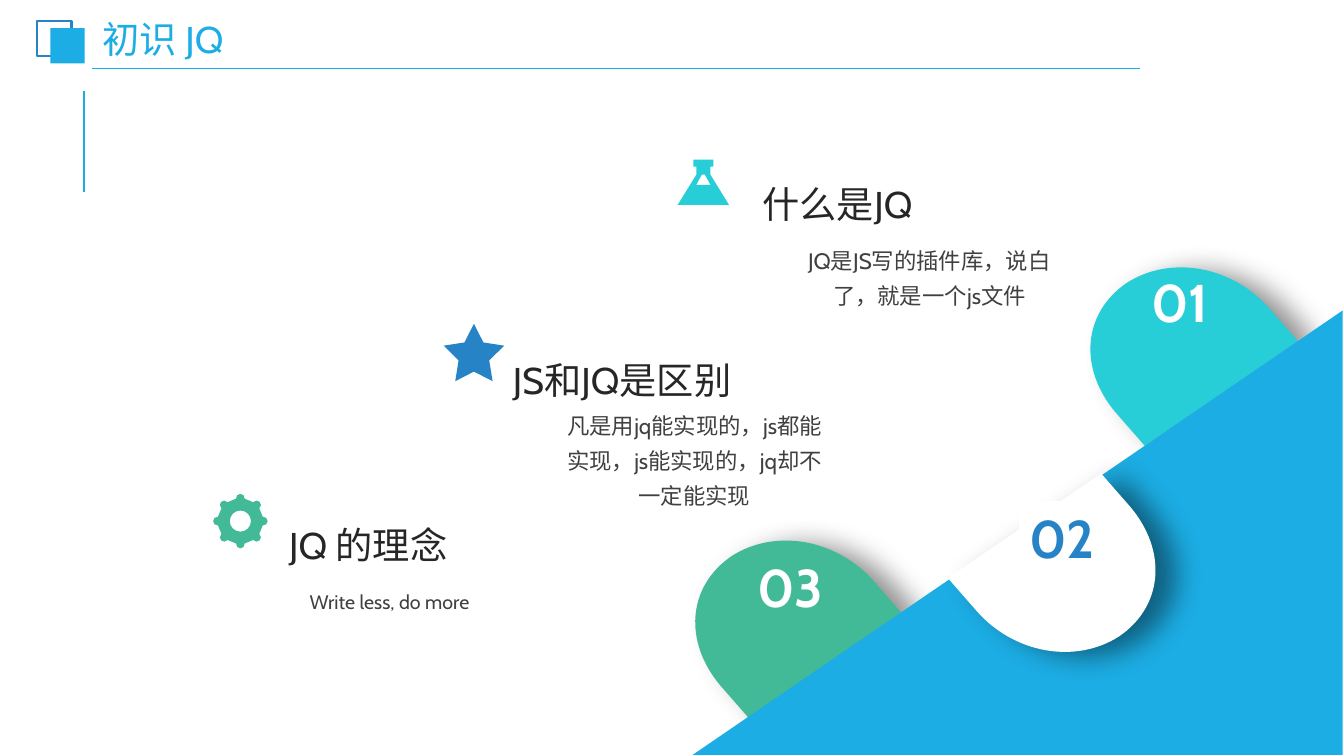
"""Build the slide 初识 JQ: three topics rising along a blue slope with numbered tabs."""
from dataclasses import dataclass
from math import cos, pi, sin

from lxml.etree import SubElement
from pptx import Presentation
from pptx.dml.color import RGBColor
from pptx.enum.shapes import MSO_CONNECTOR as CONN, MSO_SHAPE as SHAPE
from pptx.enum.text import MSO_ANCHOR as ANCHOR, MSO_AUTO_SIZE as FIT, PP_ALIGN as ALIGN
from pptx.oxml.ns import qn
from pptx.util import Inches, Pt

COLS, ROWS = 133.33, 75
CELL = Inches(0.1)
FONT = "Cabin"
COLORS = {"sky": "1CADE4", "blue": "2683C6", "teal": "27CED7", "green": "42BA97",
          "white": "FFFFFF", "head": "262626", "note": "404040", "black": "000000"}
Point = tuple[float, float]
Box = tuple[float, float, float, float]
Contour = list[list[Point]]


@dataclass
class Topic:
    head: str
    head_box: Box
    note: str
    note_box: Box
    note_size: float = 16


@dataclass
class Tab:
    number: str
    center: Point
    number_at: Point
    fill: str
    ink: str = "white"
    rotation: float = 187.6


TOPICS = [
    Topic("什么是JQ", (74.65, 16.6, 32.9, 6),
          "JQ是JS写的插件库，说白了，就是一个js文件", (78.6, 23.25, 27.2, 7.6)),
    Topic("JS和JQ是区别", (49.9, 34.1, 34, 6),
          "凡是用jq能实现的，js都能实现，js能实现的，jq却不一定能实现", (55.15, 39.65, 27.5, 11.1)),
    Topic("JQ 的理念", (27.7, 50.45, 35.5, 6),
          "Write less, do more", (24, 57.4, 29.3, 3.7), 14),
]
TAB_01 = Tab("01", (117.7, 35.15), (113.25, 26.25), "teal")
TAB_02 = Tab("02", (105.1, 56.05), (101.1, 49.7), "white", "blue", 7.6)
TAB_03 = Tab("03", (78.5, 62.25), (74.15, 54.55), "green")


def cells(*values: float) -> list[int]:
    return [round(v * CELL) for v in values]


def color(name: str) -> RGBColor:
    return RGBColor.from_string(COLORS[name])


def paint(sp, fill: str) -> None:
    sp.fill.solid()
    sp.fill.fore_color.rgb = color(fill)
    sp.line.fill.background()
    sp.shadow.inherit = False


def outline(s, contours: list[Contour], fill: str):
    """Draw closed contours; a step of one point is a line, of three points a curve."""
    builder = s.shapes.build_freeform(*cells(*contours[0][0][0]), scale=1.0)
    for i, (start, *steps) in enumerate(contours):
        if i:
            builder.move_to(*cells(*start[0]))
        builder.add_line_segments([cells(*p) for step in steps for p in step])
    sp = builder.convert_to_shape()
    lines = iter(list(sp._element.spPr.iter(qn("a:lnTo"))))
    for contour in contours:
        for step in contour[1:]:
            first, *rest = [next(lines) for _ in step]
            if rest:
                first.tag = qn("a:cubicBezTo")
                for line in rest:
                    first.append(line[0])
                    line.getparent().remove(line)
    paint(sp, fill)
    return sp


def polygon(points: list[Point]) -> Contour:
    return [[p] for p in points]


def turned(center: Point, angle: float, points: list[Point]) -> list[Point]:
    x, y = center
    return [(x + u * cos(angle) + v * sin(angle), y + u * sin(angle) - v * cos(angle))
            for u, v in points]


def draw_tab(s, tab: Tab) -> None:
    steps = [[(0, 12.3)], [(3.2, 15.1)], [(7.5, 18.9), (13.7, 19.1), (17.6, 15.8)],
             [(21.6, 12.2), (21.2, 6.7), (17, 2.9)], [(13.7, 0)]]
    x, y = tab.center[0] - 10.8, tab.center[1] - 9.55
    sp = outline(s, [[[(x + dx, y + dy) for dx, dy in step] for step in steps]], tab.fill)
    sp.rotation = tab.rotation
    effects = sp._element.spPr.find(qn("a:effectLst"))
    shadow = SubElement(effects, qn("a:outerShdw"), blurRad=str(Pt(20)), dist=str(Pt(15)),
                        dir=str(12 * 60000), algn="ctr", rotWithShape="0")
    shade = SubElement(shadow, qn("a:srgbClr"), val=COLORS["black"])
    SubElement(shade, qn("a:alpha"), val="43000")


def write(sp, text: str, size: float, ink: str, spacing: float = 1, align=ALIGN.LEFT,
          inset: Point = (1, 0.5), bold: bool = False, fit=FIT.SHAPE_TO_FIT_TEXT) -> None:
    tf = sp.text_frame
    tf.text = text
    tf.word_wrap = True
    tf.auto_size = fit
    tf.margin_left = tf.margin_right = cells(inset[0])[0]
    tf.margin_top = tf.margin_bottom = cells(inset[1])[0]
    p = tf.paragraphs[0]
    p.alignment, p.line_spacing = align, spacing
    f = p.runs[0].font
    f.name, f.size, f.bold = FONT, Pt(size), bold
    f.color.rgb = color(ink)


def draw_header(s) -> None:
    title = s.shapes.title
    title.left, title.top, title.width, title.height = cells(9.4, 2.3, 39.3, 3.7)
    write(title, "初识 JQ", 26.6, "sky", 0.9, inset=(0.75, 0.4), fit=FIT.NONE)
    title.text_frame.vertical_anchor = ANCHOR.MIDDLE
    for ends, width in (((8.3, 19, 8.3, 9), 1.5), ((9.15, 6.8, 113.1, 6.8), 1.25)):
        rule = s.shapes.add_connector(CONN.STRAIGHT, *cells(*ends))
        rule.line.color.rgb = color("sky")
        rule.line.width = Pt(width)
        SubElement(rule._element.spPr, qn("a:effectLst"))
    back, front = [s.shapes.add_shape(SHAPE.RECTANGLE, *cells(x, y, 3.4, 3.5))
                   for x, y in ((3.7, 2.1), (5, 2.8))]
    paint(front, "sky")
    back.fill.background()
    back.line.color.rgb = color("blue")
    back.line.width = Pt(1.5)
    back.shadow.inherit = False


def draw_icons(s) -> None:
    x, y = 69.78, 15.83
    half = [(1, 0), (1, 0.7), (0.7, 0.7), (0.7, 1.5), (2.55, 4.5)]
    flask = [(x + dx, y + dy) for dx, dy in half]
    flask += [(x - dx, y + dy) for dx, dy in reversed(half)]
    gap = [(x - 0.15, y + 1.5), (x + 0.15, y + 1.5), (x + 0.7, y + 2.5), (x - 0.7, y + 2.5)]
    outline(s, [polygon(flask), polygon(gap)], "teal")
    star = [turned((47.02, 35.27), i * pi / 5, [(0, 1.6 if i % 2 else 3.15)])
            for i in range(10)]
    outline(s, [star], "blue")
    hub = (23.85, 51.7)
    tooth = [[(-0.43, 2.22)], [(-0.45, 2.5), (-0.25, 2.7), (0, 2.7)],
             [(0.25, 2.7), (0.45, 2.5), (0.43, 2.22)]]
    gear = [turned(hub, i * pi / 4, step) for i in range(8) for step in tooth]
    quarter = [(0.58, 1.05), (1.05, 0.58), (1.05, 0)]
    hole = [turned(hub, i * pi / 2, quarter) for i in range(4)]
    outline(s, [gear, [turned(hub, 0, [(0, 1.05)]), *hole]], "green")


def main() -> None:
    prs = Presentation()
    prs.slide_width, prs.slide_height = cells(COLS, ROWS)
    s = prs.slides.add_slide(prs.slide_layouts[5])
    draw_header(s)
    draw_tab(s, TAB_01)
    draw_tab(s, TAB_03)
    outline(s, [polygon([(68.7, 74.9), (133.2, 74.9), (133.2, 30.8)])], "sky")
    draw_tab(s, TAB_02)
    draw_icons(s)
    for topic in TOPICS:
        note = s.shapes.add_textbox(*cells(*topic.note_box))
        write(note, topic.note, topic.note_size, "note", 1.3, ALIGN.CENTER, (0.9, 0.45))
        head = s.shapes.add_textbox(*cells(*topic.head_box))
        write(head, topic.head, 26.6, "head", 1.2, ALIGN.JUSTIFY)
    for tab in (TAB_01, TAB_02, TAB_03):
        label = s.shapes.add_textbox(*cells(*tab.number_at, 8.9, 7.4))
        write(label, tab.number, 37.9, tab.ink, bold=True)
        if tab is TAB_02:
            paint(label, "white")
    prs.save("out.pptx")


if __name__ == "__main__":
    main()
